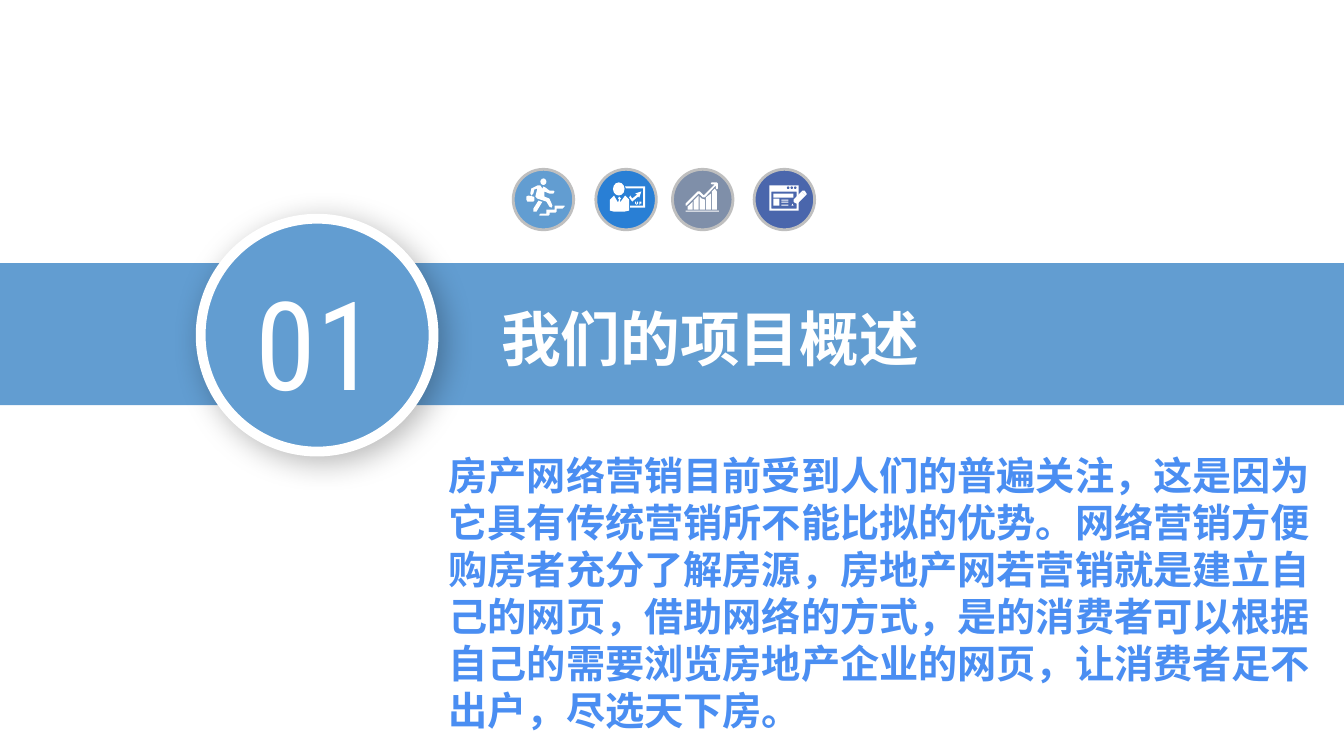
from lxml import etree
from pptx import Presentation
from pptx.dml.color import RGBColor
from pptx.enum.shapes import MSO_SHAPE
from pptx.enum.text import MSO_ANCHOR, PP_ALIGN
from pptx.oxml.ns import qn
from pptx.util import Inches, Pt

RECT, OVAL = MSO_SHAPE.RECTANGLE, MSO_SHAPE.OVAL
MIDDLE, TOP = MSO_ANCHOR.MIDDLE, MSO_ANCHOR.TOP
LEFT, CENTER = PP_ALIGN.LEFT, PP_ALIGN.CENTER
CJK = "Noto Sans CJK SC"
UNIT = Inches(0.01)  # icons are drawn on a grid of hundredths of an inch
COLORS = {
    "sky": "629DD1", "blue": "297FD5", "slate": "7F8FA9", "indigo": "4A66AC",
    "white": "FFFFFF", "ring": "BFBFBF", "text": "4A8EF2",
}


def paint(shape, fill, line=None, width=0):
    shape.shadow.inherit = False
    shape.fill.solid()
    shape.fill.fore_color.rgb = RGBColor.from_string(COLORS[fill])
    if line:
        shape.line.color.rgb = RGBColor.from_string(COLORS[line])
        shape.line.width = Pt(width)
    else:
        shape.line.fill.background()


def write(shape, box, text, size, font, color, bold, align, anchor):
    shape.left, shape.top, shape.width, shape.height = map(Inches, box)
    frame = shape.text_frame
    frame.text = text
    frame.word_wrap = True
    frame.vertical_anchor = anchor
    para = frame.paragraphs[0]
    para.alignment = align
    run = para.runs[0]
    run.font.size = Pt(size)
    run.font.name = font
    run.font.bold = bold
    run.font.color.rgb = RGBColor.from_string(COLORS[color])
    east = etree.SubElement(run.font._element, qn("a:ea"))
    east.set("typeface", CJK)
    return para


deck = Presentation()
deck.slide_width, deck.slide_height = Inches(13.33), Inches(7.5)
slide = deck.slides.add_slide(deck.slide_layouts[1])
shapes = slide.shapes

# Band, placed behind the title
band = shapes.add_shape(RECT, 0, Inches(2.61), deck.slide_width, Inches(1.41))
paint(band, "sky")
shapes._spTree.insert(2, band._element)

# Title and body
write(shapes.title, (4.87, 2.94, 4.72, 0.82), "我们的项目概述",
      42.6, CJK, "white", True, LEFT, MIDDLE)
body = write(
    slide.placeholders[1], (4.35, 4.43, 8.82, 2.93),
    "房产网络营销目前受到人们的普遍关注，这是因为它具有传统营销所不能比拟的优势。"
    "网络营销方便购房者充分了解房源，房地产网若营销就是建立自己的网页，"
    "借助网络的方式，是的消费者可以根据自己的需要浏览房地产企业的网页，"
    "让消费者足不出户，尽选天下房。",
    28, "Calibri", "text", True, LEFT, TOP)
body.space_before = Pt(0)
body.line_spacing = Pt(33.6)
props = body._p.get_or_add_pPr()
props.set("marL", "0")
props.set("indent", "0")
etree.SubElement(props, qn("a:buNone"))

# Icons: left, colour, outlines, bars, ovals and dots in the disc's colour
runner = [
    [(27, 44), (33, 44), (33, 40), (41, 40), (41, 36), (51, 36), (51, 37), (49, 39),
     (43, 39), (43, 42), (42, 43), (36, 43), (36, 45), (35, 46), (26, 46), (26, 45)],
    [(14, 32), (20, 32), (21, 31), (21, 28), (20, 27), (15, 26), (13, 27), (13, 30)],
    [(20, 39), (25, 31), (28, 32), (29, 32), (23, 42), (20, 42)],
    [(30, 17), (32, 18), (36, 21), (40, 21), (41, 22), (40, 24), (36, 24), (31, 22),
     (31, 27), (36, 29), (39, 36), (38, 38), (36, 37), (33, 32), (24, 29), (22, 27),
     (24, 19), (21, 20), (20, 24), (18, 26), (17, 24), (18, 19), (24, 16), (27, 16),
     (29, 19)],
]
speaker = [
    [(29, 17), (30, 19), (47, 19), (47, 36), (34, 36), (34, 38), (49, 38), (49, 17)],
    [(34, 26), (33, 28), (36, 32), (42, 27), (43, 28), (45, 22), (39, 24), (41, 25),
     (36, 29)],
    [(29, 26), (24, 33), (24, 30), (25, 29), (23, 27), (22, 29), (23, 30), (22, 33),
     (18, 26), (14, 30), (14, 41), (18, 42), (28, 42), (33, 41), (33, 30)],
    [(39, 32), (39, 34), (40, 35), (41, 35), (42, 34), (42, 32), (41, 32), (41, 34),
     (40, 34), (40, 32)],
    [(43, 32), (43, 35), (44, 35), (44, 34), (45, 34), (45, 32)],
]
tops = [
    [(15, 37), (20, 32)], [(21, 31), (26, 26)], [(27, 27), (29, 29), (32, 30)],
    [(33, 28), (38, 24)], [(39, 22), (42, 19), (44, 22)],
]
growth = [top + [(top[-1][0], 40), (top[0][0], 40)] for top in tops]
growth.append(
    [(14, 36), (26, 24), (30, 28), (32, 28), (43, 16), (43, 19), (44, 20), (45, 19),
     (45, 14), (44, 13), (39, 13), (38, 14), (39, 15), (42, 15), (31, 26), (27, 22),
     (25, 22), (13, 34), (13, 36)])
browser = [
    [(15, 16), (44, 16), (44, 41), (15, 41), (15, 16), (17, 22), (17, 39), (42, 39),
     (42, 22), (17, 22)],
    [(38, 34), (37, 36), (39, 36)],
    [(47, 22), (48, 21), (50, 21), (52, 24), (52, 25), (51, 26)],
    [(47, 22), (39, 30), (39, 32), (40, 33), (42, 34), (43, 34), (51, 26)],
]
panes = [(19, 24, 20, 4), (19, 29, 6, 7)] + [(27, y, 7, 1) for y in (30, 32, 35)]
dots = [(x, 17, 2.5, 2.5) for x in (32.5, 36, 39.5)]
icons = [
    (5.09, "sky", runner, [], [(27, 9, 6, 6.5)], []),
    (5.91, "blue", speaker, [], [(17, 13, 11.5, 13)], []),
    (6.67, "slate", growth, [(13, 41, 33, 1)], [], []),
    (7.48, "indigo", browser, panes, [], dots),
]
for left, color, paths, bars, ovals, holes in icons:
    group = shapes.add_group_shape().shapes
    x0, y0 = Inches(left), Inches(1.68)
    disc = group.add_shape(OVAL, x0, y0, Inches(0.6), Inches(0.6))
    paint(disc, color, "ring", 2)
    for points in paths:
        pen = group.build_freeform(*points[0], scale=UNIT)
        pen.add_line_segments(points[1:], close=True)
        paint(pen.convert_to_shape(x0, y0), "white")
    for kind, boxes, fill in ((RECT, bars, "white"), (OVAL, ovals, "white"),
                              (OVAL, holes, color)):
        for x, y, w, h in boxes:
            part = group.add_shape(kind, x0 + int(x * UNIT), y0 + int(y * UNIT),
                                   int(w * UNIT), int(h * UNIT))
            paint(part, fill)

# Number badge with a soft shadow
badge = shapes.add_shape(OVAL, Inches(1.99), Inches(2.17), Inches(2.31), Inches(2.31))
paint(badge, "sky", "white", 7)
effects = badge._element.spPr.find(qn("a:effectLst"))
shade = etree.SubElement(
    effects, qn("a:outerShdw"), blurRad=str(Pt(22)), dist=str(Pt(6)),
    dir="2700000", algn="tl", rotWithShape="0")
black = etree.SubElement(shade, qn("a:srgbClr"), val="000000")
etree.SubElement(black, qn("a:alpha"), val="28000")
number = shapes.add_textbox(0, 0, 0, 0)
write(number, (2.26, 2.6, 1.75, 1.58), "01", 88, "Roboto Condensed", "white",
      False, CENTER, MIDDLE)

deck.save("out.pptx")
